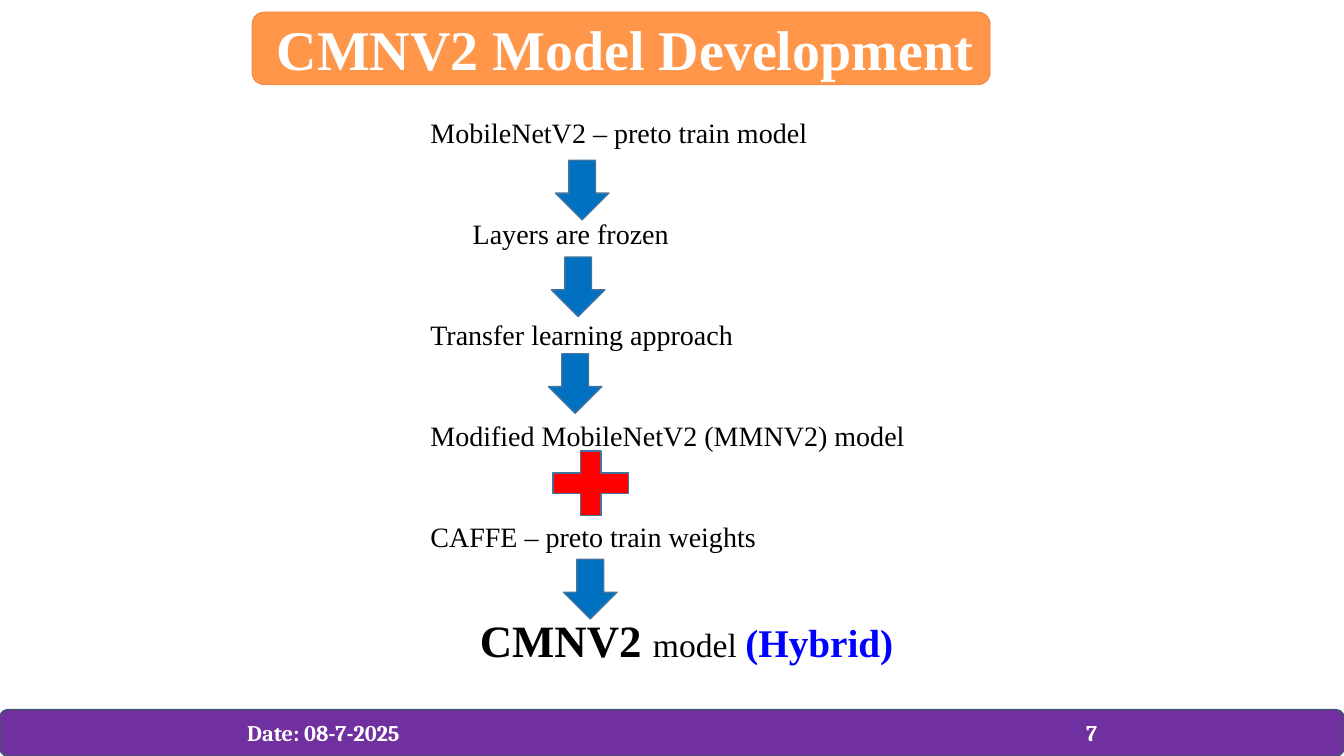
"""Build the CMNV2 model development flow slide."""
from lxml import etree
from pptx import Presentation
from pptx.dml.color import RGBColor
from pptx.enum import shapes, text
from pptx.oxml import ns
from pptx.util import Inches, Pt

WHITE = RGBColor(0xFF, 0xFF, 0xFF)
BLACK = RGBColor(0, 0, 0)
PURPLE = RGBColor(0x70, 0x30, 0xA0)
SLATE = RGBColor(0x44, 0x54, 0x6A)
ORANGE = RGBColor(0xFF, 0x96, 0x4A)
TITLE_EDGE = RGBColor(0xED, 0x7D, 0x31)
ARROW_BLUE = RGBColor(0x00, 0x70, 0xC0)
EDGE_BLUE = RGBColor(0x43, 0x73, 0x9E)
RED = RGBColor(0xFF, 0, 0)
BLUE = RGBColor(0, 0, 0xFF)
SERIF = "Times New Roman"
PRESET = shapes.MSO_SHAPE


def add_box(kind, x, y, w, h, fill, edge, weight=1):
    sp = s.shapes.add_shape(kind, Inches(x), Inches(y), Inches(w), Inches(h))
    sp.shadow.inherit = False
    sp.fill.solid()
    sp.fill.fore_color.rgb = fill
    sp.line.color.rgb = edge
    sp.line.width = Pt(weight)
    return sp


def style(r, size, color, bold=False, name=SERIF):
    r.font.size = Pt(size)
    r.font.color.rgb = color
    r.font.bold = bold
    r.font.name = name


prs = Presentation()
prs.slide_width, prs.slide_height = Inches(13.33), Inches(7.5)
s = prs.slides.add_slide(prs.slide_layouts[6])

footer = add_box(PRESET.ROUNDED_RECTANGLE, 0, 7.04, 13.33, 0.46, PURPLE, SLATE)
tf = footer.text_frame
tf.margin_left = Inches(2.43)
tf.vertical_anchor = text.MSO_ANCHOR.MIDDLE
p = tf.paragraphs[0]
p.text = "Date: 08-7-2025\t7"
p.alignment = text.PP_ALIGN.LEFT
tabs = etree.SubElement(p._p.get_or_add_pPr(), ns.qn("a:tabLst"))
etree.SubElement(tabs, ns.qn("a:tab"), pos=str(Inches(8.32)), algn="l")
style(p.runs[0], 16, WHITE, True, "Cambria")

title = add_box(PRESET.ROUNDED_RECTANGLE, 2.5, 0.12, 7.32, 0.72, ORANGE, TITLE_EDGE, 0.5)
tf = title.text_frame
tf.margin_left, tf.margin_right = Inches(0.21), Inches(0)
tf.vertical_anchor = text.MSO_ANCHOR.MIDDLE
p = tf.paragraphs[0]
p.text = "CMNV2 Model Development"
p.alignment = text.PP_ALIGN.LEFT
style(p.runs[0], 40, WHITE, True)

steps = [
    ("MobileNetV2 – preto train model", 0, 48),
    ("Layers are frozen", 0.42, 48),
    ("Transfer learning approach", 0, 48),
    ("Modified MobileNetV2 (MMNV2) model", 0, 48),
    ("CAFFE – preto train weights", 0, 43),
]
tf = s.shapes.add_textbox(Inches(4.17), Inches(1.1), Inches(7.63), Inches(5.65)).text_frame
tf.word_wrap = True
p = tf.paragraphs[0]
for label, indent, gap in steps:
    p.text = label
    p._p.get_or_add_pPr().set("marL", str(Inches(indent)))
    p.space_after = Pt(gap)
    style(p.runs[0], 20, BLACK)
    p = tf.add_paragraph()

p._p.get_or_add_pPr().set("marL", str(Inches(0.49)))
for label, size, color, bold in [
    ("CMNV2 ", 32, BLACK, True),
    ("model ", 24, BLACK, False),
    ("(Hybrid)", 28, BLUE, True),
]:
    r = p.add_run()
    r.text = label
    style(r, size, color, bold)

for x, y in [(5.51, 1.59), (5.47, 2.55), (5.44, 3.51), (5.59, 5.55)]:
    add_box(PRESET.DOWN_ARROW, x, y, 0.53, 0.59, ARROW_BLUE, EDGE_BLUE)
add_box(PRESET.MATH_PLUS, 5.35, 4.36, 1.02, 0.87, RED, EDGE_BLUE)

prs.save("out.pptx")
